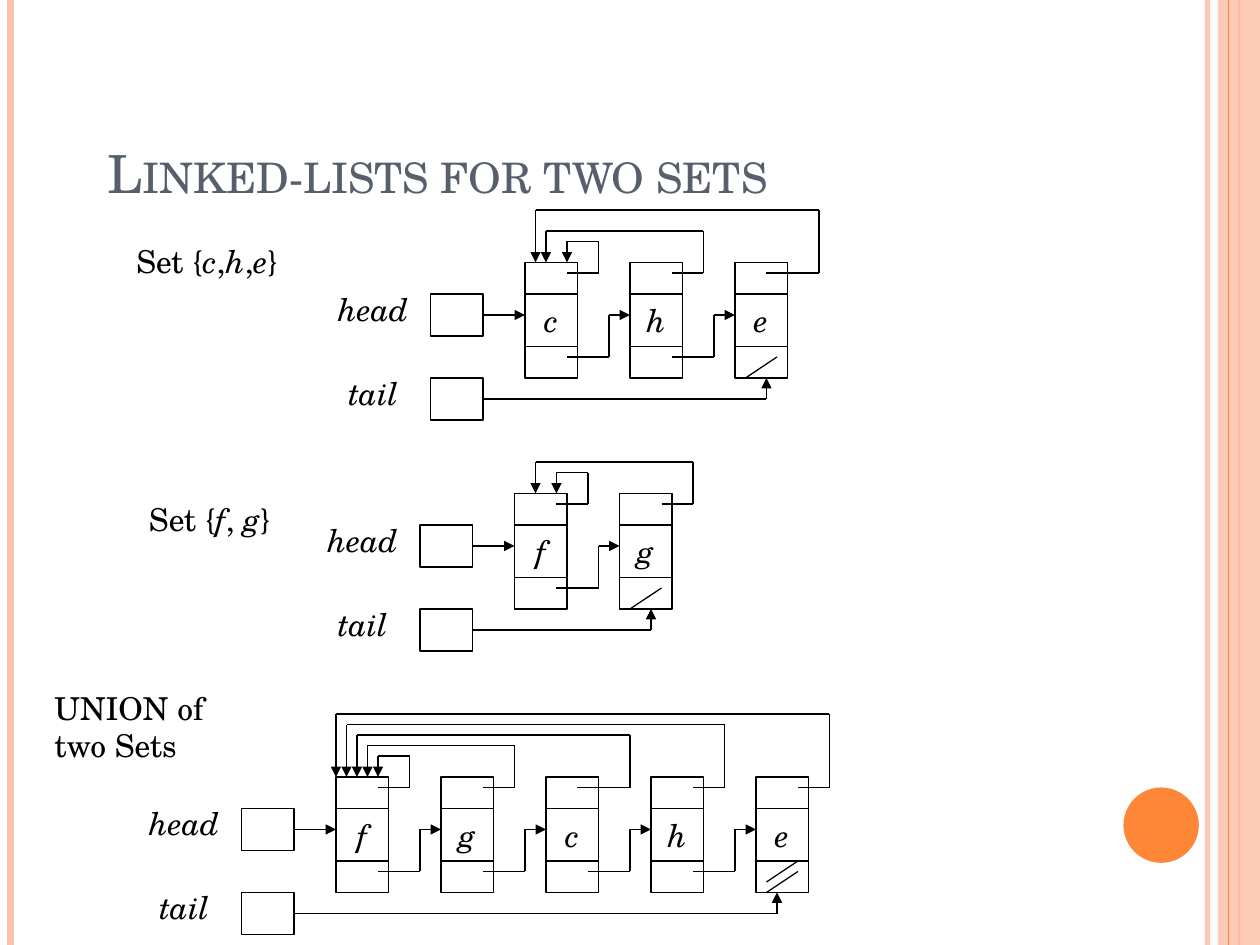
from lxml import etree
from pptx import Presentation
from pptx import util as u
from pptx.dml.color import RGBColor
from pptx.enum import shapes, text
from pptx.oxml.ns import qn

BLACK = RGBColor(0x00, 0x00, 0x00)
SLATE = RGBColor(0x57, 0x5F, 0x6D)
PEACH = RGBColor(0xFE, 0xC3, 0xAE)
ORANGE = RGBColor(0xFE, 0x86, 0x37)
FONT = "TeX Gyre Schola"
G = u.Cm(2.54) // 12  # the whole slide sits on a grid of twelfths of an inch

deck = Presentation()
deck.slide_width, deck.slide_height = u.Cm(25.4), u.Cm(19.05)
slide = deck.slides.add_slide(deck.slide_layouts[5])
items = slide.shapes


def wire(points, arrow=False, color=BLACK, width=0.75):
    """Draw straight lines through grid points and return the first one."""
    lines = []
    for (x1, y1), (x2, y2) in zip(points, points[1:]):
        line = items.add_connector(shapes.MSO_CONNECTOR.STRAIGHT,
                                   x1 * G, y1 * G, x2 * G, y2 * G)
        line.line.color.rgb = color
        line.line.width = u.Pt(width)
        etree.SubElement(line._element.spPr, qn("a:effectLst"))
        lines.append(line)
    if arrow:
        etree.SubElement(lines[-1].line._get_or_add_ln(), qn("a:tailEnd"), type="triangle")
    return lines[0]


def label(x, y, w, rows):
    """Write rows of text; the pieces between asterisks are italic."""
    box = items.add_textbox(round(x * G), round(y * G), round(w * G), 6 * G)
    frame = box.text_frame
    frame.word_wrap = True
    for i, row in enumerate(rows):
        para = frame.paragraphs[0] if i == 0 else frame.add_paragraph()
        para.font.name, para.font.size = FONT, u.Pt(18)
        para.font.color.rgb = BLACK
        for j, piece in enumerate(row.split("*")):
            if piece:
                run = para.add_run()
                run.text = piece
                run.font.italic = j % 2 == 1


# Side stripes and dot
edge = wire([(115, 0), (115, 90)], color=PEACH, width=3)
wire([(1, 0), (1, 90)], color=PEACH, width=4.5)
wire([(118, 0), (118, 90)], color=ORANGE, width=1.5)
band = items.add_shape(shapes.MSO_SHAPE.RECTANGLE, 116 * G, 0, 4 * G, 90 * G)
wire([(117, 0), (117, 90)], color=ORANGE)
dot = items.add_shape(shapes.MSO_SHAPE.OVAL, 107 * G, 75 * G, u.Cm(1.52), u.Cm(1.52))
for shape, color in ((band, PEACH), (dot, ORANGE)):
    shape.shadow.inherit = False
    shape.fill.solid()
    shape.fill.fore_color.rgb = color
    shape.line.fill.background()
for shape, alpha in ((edge, "93000"), (band, "87000")):
    tint = shape._element.spPr.find(".//" + qn("a:srgbClr"))
    etree.SubElement(tint, qn("a:alpha"), val=alpha)

# Title
title = items.title
title.left, title.top, title.width, title.height = 9 * G, 5 * G, 102 * G, 15 * G
title.text_frame.text = "Linked-lists for two sets"
title.text_frame.vertical_anchor = text.MSO_ANCHOR.BOTTOM
para = title.text_frame.paragraphs[0]
para.alignment = text.PP_ALIGN.LEFT
font = para.runs[0].font
font.name, font.size, font.color.rgb = FONT, u.Pt(30), SLATE
font._element.set("cap", "small")

# Each list: first node's corner, letters, tail arrow offset, slash bottoms, and
# per node the back pointer's start offset, right edge, top and landing place
LISTS = [
    (50, 25, "che", 3, [11],
     [(4, 57, 23, 54), (4, 67, 22, 52), (3, 78, 20, 51)]),
    (49, 47, "fg", 3, [11],
     [(4, 56, 45, 53), (4, 66, 44, 51)]),
    (32, 74, "fgche", 2, [10, 11],
     [(4, 39, 72, 36), (4, 49, 71, 35), (3, 60, 70, 34), (4, 69, 69, 33), (4, 79, 68, 32)]),
]
for x, y, names, tip, cuts, backs in LISTS:
    spots = [x + 10 * i for i in range(len(names))]
    last = spots[-1]
    cells = [(x - 9, y + 3, 4, ""), (x - 9, y + 11, 4, "")]
    cells += [(left, y, 11, name) for left, name in zip(spots, names)]
    boxes = []
    for left, top, high, name in cells:
        box = items.add_shape(shapes.MSO_SHAPE.RECTANGLE, left * G, top * G, 5 * G, high * G)
        box.shadow.inherit = False
        box.fill.background()
        box.line.color.rgb = BLACK
        box.line.width = u.Pt(0.75)
        if name:
            frame = box.text_frame
            frame.text = name
            frame.word_wrap = False
            frame.vertical_anchor = text.MSO_ANCHOR.MIDDLE
            para = frame.paragraphs[0]
            para.alignment = text.PP_ALIGN.CENTER
            para.font.name, para.font.size = FONT, u.Pt(18)
            para.font.italic = True
            para.font.color.rgb = BLACK
        boxes.append(box)

    head = wire([(x - 4, y + 5), (x, y + 5)], arrow=True)
    head.begin_connect(boxes[0], 3)
    tail = wire([(x - 4, y + 13), (last + tip, y + 13), (last + tip, y + 11)], arrow=True)
    tail.begin_connect(boxes[1], 3)
    label(x - 19, y + 2, 10.2, ["*head*"])
    label(x - 18, y + 10, 7.7, ["*tail*"])

    for left, (start, right, top, land) in zip(spots, backs):
        for row in (3, 8):
            wire([(left, y + row), (left + 5, y + row)])
        if left < last:
            wire([(left + 4, y + 9), (left + 8, y + 9), (left + 8, y + 5), (left + 10, y + 5)],
                 arrow=True)
        wire([(left + start, y + 1), (right, y + 1), (right, top), (land, top), (land, y)],
             arrow=True)
    for cut in cuts:
        wire([(last + 1, y + cut), (last + 4, y + cut - 2)])

# Names of the sets
label(11.8, 22.5, 19.9, ["Set {*c*,*h*,*e*}"])
label(13, 47, 17.4, ["Set {*f*, *g*}"])
label(4, 65, 20.6, ["UNION of", "two Sets"])

deck.save("out.pptx")
